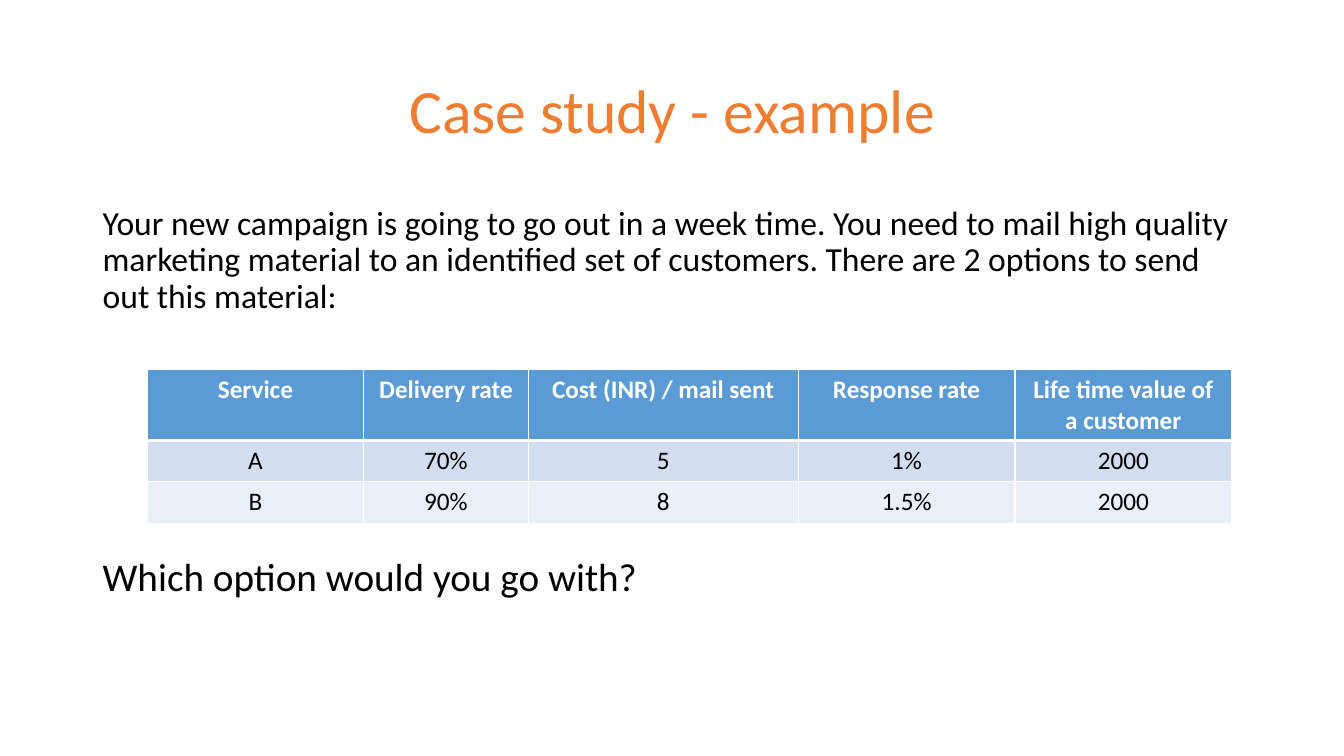
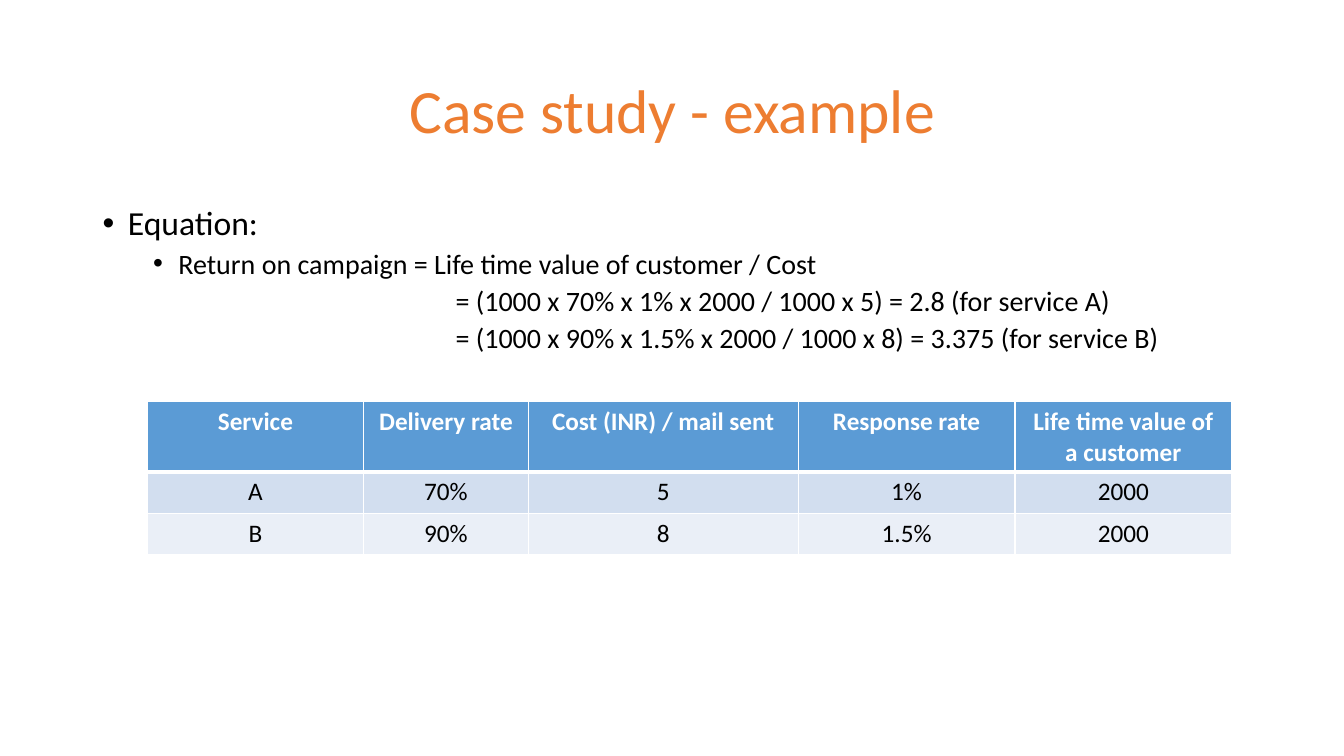
from dataclasses import dataclass
from typing import Optional

from lxml.etree import SubElement
from pptx import Presentation
from pptx.dml.color import RGBColor as RGB
from pptx.enum.text import MSO_ANCHOR as ANCHOR, PP_ALIGN as ALIGN
from pptx.oxml.ns import qn
from pptx.util import Inches, Pt


@dataclass(frozen=True)
class Theme:
    """Colours, type sizes and spacing shared by the slides."""
    font: str = "Calibri"
    accent: str = "ED7D31"
    text: str = "000000"
    white: str = "FFFFFF"
    header: str = "5B9BD5"
    bands: tuple = ("D2DEEF", "EAEFF7")
    title_size: int = 44
    question_size: int = 28
    body_size: int = 24
    detail_size: int = 20
    table_size: int = 18
    line_spacing: float = 0.9
    thin: int = 1
    thick: int = 3


@dataclass(frozen=True)
class Line:
    """One body paragraph; indents are in inches, spacing in points."""
    text: str
    size: int
    before: int = 10
    left: float = 0
    bullet: Optional[str] = None


THEME = Theme()
WIDTH, HEIGHT = Inches(13.33), Inches(7.5)
BULLET_HANG = 0.25
TITLE_BOX = (6.9, 5.33, 86.25, 19.33)
BODY_BOX = (6.9, 26.67, 86.25, 63.5)
TABLE_LEFT, TABLE_WIDTH = 10.95, 80.7
COLUMN_WEIGHTS = (2.15, 1.63, 2.68, 2.15, 2.15)
ROW_HEIGHTS = (9.33, 5.47, 5.47)

TITLE = "Case study - example"
SERVICES = (
    ("Service", "Delivery rate", "Cost (INR) / mail sent", "Response rate",
     "Life time value of a customer"),
    ("A", "70%", "5", "1%", "2000"),
    ("B", "90%", "8", "1.5%", "2000"),
)
QUESTION = (
    Line("Your new campaign is going to go out in a week time. You need to mail "
         "high quality marketing material to an identified set of customers. "
         "There are 2 options to send out this material:", THEME.body_size),
    Line("Which option would you go with?", THEME.question_size, before=173),
)
EQUATION = (
    Line("Equation:", THEME.body_size, left=0.25, bullet="•"),
    Line("Return on campaign = Life time value of customer / Cost",
         THEME.detail_size, before=5, left=0.75, bullet="•"),
    Line("= (1000 x 70% x 1% x 2000 / 1000 x 5) = 2.8 (for service A)",
         THEME.detail_size, before=5, left=3.5),
    Line("= (1000 x 90% x 1.5% x 2000 / 1000 x 8) = 3.375 (for service B)",
         THEME.detail_size, before=5, left=3.5),
)


def across(share):
    """Turn a percentage of the slide width into a length."""
    return int(WIDTH * share / 100)


def down(share):
    """Turn a percentage of the slide height into a length."""
    return int(HEIGHT * share / 100)


def place(box):
    """Turn a box of percentages into left, top, width and height."""
    left, top, width, height = box
    return across(left), down(top), across(width), down(height)


def style(p, size, color, bold=False):
    """Format every run of a paragraph."""
    for r in p.runs:
        r.font.name = THEME.font
        r.font.size = Pt(size)
        r.font.bold = bold
        r.font.color.rgb = RGB.from_string(color)


def add_title(slide, text):
    """Move, fill and format the title placeholder."""
    sp = slide.shapes.title
    sp.left, sp.top, sp.width, sp.height = place(TITLE_BOX)
    tf = sp.text_frame
    tf.text = text
    tf.vertical_anchor = ANCHOR.MIDDLE
    p = tf.paragraphs[0]
    p.alignment = ALIGN.CENTER
    p.line_spacing = THEME.line_spacing
    style(p, THEME.title_size, THEME.accent)


def indent(p, line):
    """Set the left indent of a paragraph and its hanging bullet."""
    pPr = p._p.get_or_add_pPr()
    pPr.set("marL", str(Inches(line.left)))
    pPr.set("indent", str(-Inches(BULLET_HANG) if line.bullet else 0))
    if line.bullet:
        SubElement(pPr, qn("a:buFont"), typeface="Arial")
        SubElement(pPr, qn("a:buChar"), char=line.bullet)


def add_body(slide, lines):
    """Add the body text, one paragraph a line."""
    tf = slide.shapes.add_textbox(*place(BODY_BOX)).text_frame
    tf.word_wrap = True
    for i, line in enumerate(lines):
        p = tf.add_paragraph() if i else tf.paragraphs[0]
        p.text = line.text
        p.line_spacing = THEME.line_spacing
        p.space_before = Pt(line.before)
        indent(p, line)
        style(p, line.size, THEME.text)


def add_borders(cell, top, bottom):
    """Draw white borders round a cell, with given top and bottom widths."""
    tcPr = cell._tc.get_or_add_tcPr()
    widths = {"L": THEME.thin, "R": THEME.thin, "T": top, "B": bottom}
    for side, width in widths.items():
        ln = SubElement(tcPr, qn(f"a:ln{side}"), w=str(Pt(width)))
        fill = SubElement(ln, qn("a:solidFill"))
        SubElement(fill, qn("a:srgbClr"), val=THEME.white)


def format_cell(cell, row):
    """Give a cell the borders, fill and type of its row."""
    header = row == 0
    add_borders(cell, THEME.thick if row == 1 else THEME.thin,
                THEME.thick if header else THEME.thin)
    cell.fill.solid()
    fill = THEME.header if header else THEME.bands[(row - 1) % 2]
    cell.fill.fore_color.rgb = RGB.from_string(fill)
    p = cell.text_frame.paragraphs[0]
    p.alignment = ALIGN.CENTER
    style(p, THEME.table_size, THEME.white if header else THEME.text, header)


def add_services(slide, top):
    """Add the table that compares the services."""
    box = place((TABLE_LEFT, top, TABLE_WIDTH, sum(ROW_HEIGHTS)))
    table = slide.shapes.add_table(len(SERVICES), len(COLUMN_WEIGHTS), *box).table
    for column, weight in zip(table.columns, COLUMN_WEIGHTS):
        column.width = across(TABLE_WIDTH * weight / sum(COLUMN_WEIGHTS))
    for i, (height, values) in enumerate(zip(ROW_HEIGHTS, SERVICES)):
        table.rows[i].height = down(height)
        for j, value in enumerate(values):
            cell = table.cell(i, j)
            cell.text_frame.text = value
            format_cell(cell, i)


def add_case_slide(prs, lines, table_top):
    """Add a case study slide with body text and the services table."""
    slide = prs.slides.add_slide(prs.slide_layouts.get_by_name("Title Only"))
    add_title(slide, TITLE)
    add_body(slide, lines)
    add_services(slide, table_top)


def main():
    """Build and save the presentation."""
    prs = Presentation()
    prs.slide_width, prs.slide_height = WIDTH, HEIGHT
    add_case_slide(prs, QUESTION, table_top=48.93)
    add_case_slide(prs, EQUATION, table_top=53.07)
    prs.save("out.pptx")


if __name__ == "__main__":
    main()
